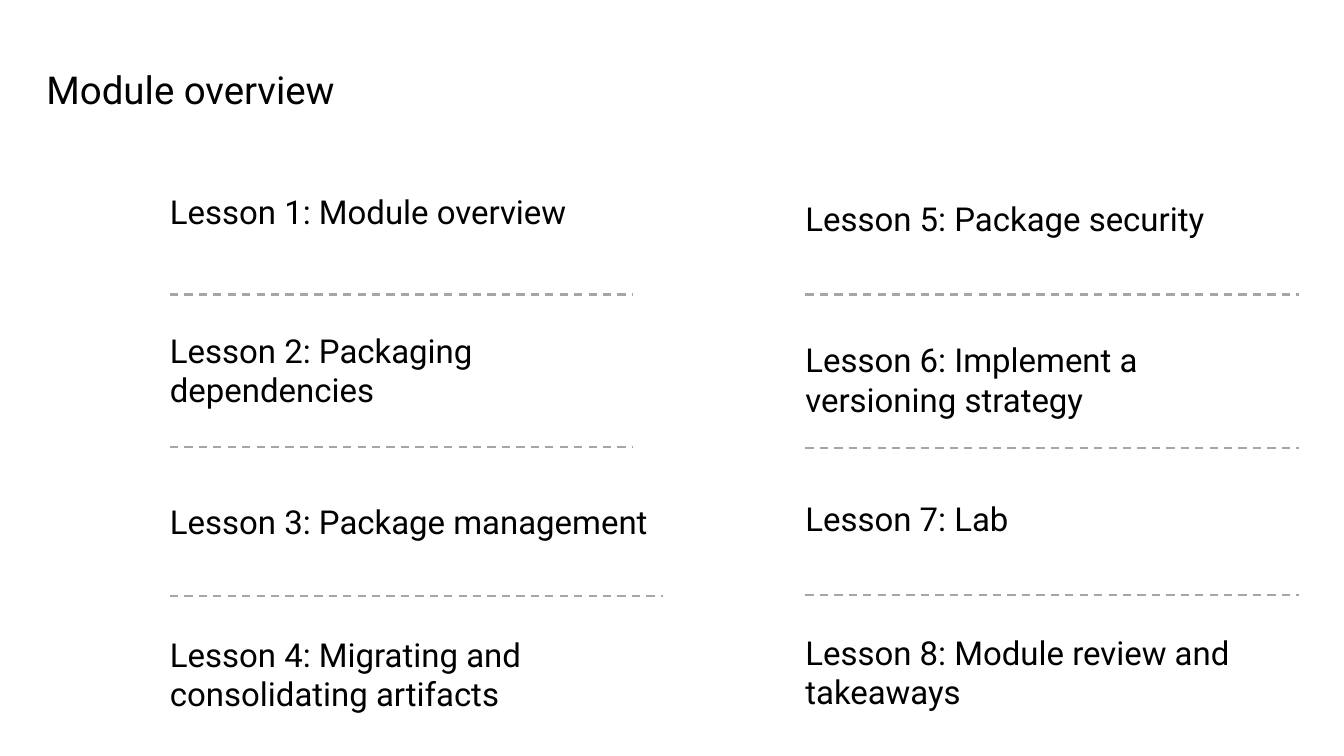
from lxml import etree
from pptx import Presentation
from pptx.dml.color import RGBColor
from pptx.enum.dml import MSO_LINE
from pptx.enum.shapes import MSO_CONNECTOR
from pptx.enum.text import MSO_ANCHOR
from pptx.oxml.ns import qn
from pptx.util import Inches, Pt

DASH = MSO_LINE.DASH
STRAIGHT = MSO_CONNECTOR.STRAIGHT
MIDDLE = MSO_ANCHOR.MIDDLE
TOP = MSO_ANCHOR.TOP

FONT = "Roboto"
BLACK = "000000"
GREY = "A6A6A6"
LINE_HEIGHT = 0.4
LESSON_WIDTH = 4.94
BLANK_LAYOUT = 6

# Each lesson: text, number of lines, vertical centre.
# Each divider: height on the page, width.
COLUMNS = [
    {
        "left": 1.72,
        "lessons": [
            ("Lesson 1: Module overview", 1, 2.14),
            ("Lesson 2: Packaging dependencies", 2, 3.74),
            ("Lesson 3: Package management", 1, 5.28),
            ("Lesson 4: Migrating and consolidating artifacts", 2, 6.82),
        ],
        "dividers": [(2.98, 4.69), (4.52, 4.69), (6.03, 4.99)],
    },
    {
        "left": 8.15,
        "lessons": [
            ("Lesson 5: Package security", 1, 2.21),
            ("Lesson 6: Implement a versioning strategy", 2, 3.84),
            ("Lesson 7: Lab", 1, 5.25),
            ("Lesson 8: Module review and takeaways", 2, 6.8),
        ],
        "dividers": [(2.98, 4.99), (4.53, 4.99), (6.02, 4.99)],
    },
]


def color(hex_string):
    return RGBColor.from_string(hex_string)


def add_text(page, text, box, size, anchor):
    """Add a margin-free text box and return its paragraph."""
    frame = page.shapes.add_textbox(*map(Inches, box)).text_frame
    frame.word_wrap = True
    frame.vertical_anchor = anchor
    frame.margin_left = frame.margin_right = 0
    frame.margin_top = frame.margin_bottom = 0
    frame.text = text
    para = frame.paragraphs[0]
    font = para.runs[0].font
    font.name = FONT
    font.size = Pt(size)
    font.color.rgb = color(BLACK)
    return para


def add_divider(page, left, top, width):
    divider = page.shapes.add_connector(
        STRAIGHT, Inches(left), Inches(top), Inches(left + width), Inches(top))
    divider.line.color.rgb = color(GREY)
    divider.line.width = Pt(1.5)
    divider.line.dash_style = DASH
    etree.SubElement(divider._element.spPr, qn("a:effectLst"))


def add_title(page, box):
    para = add_text(page, "Module overview", box, 28, TOP)
    para.line_spacing = Pt(32)


def add_lesson_column(page, left, lessons, dividers):
    for text, line_count, center in lessons:
        height = line_count * LINE_HEIGHT
        box = (left, center - height / 2, LESSON_WIDTH, height)
        add_text(page, text, box, 24, MIDDLE)
    for top, width in dividers:
        add_divider(page, left, top, width)


def main():
    deck = Presentation()
    deck.slide_width = Inches(13.6)
    deck.slide_height = Inches(7.65)
    page = deck.slides.add_slide(deck.slide_layouts[BLANK_LAYOUT])
    add_title(page, (0.47, 0.69, 12.65, 0.45))
    for column in COLUMNS:
        add_lesson_column(page, **column)
    deck.save("out.pptx")


if __name__ == "__main__":
    main()
